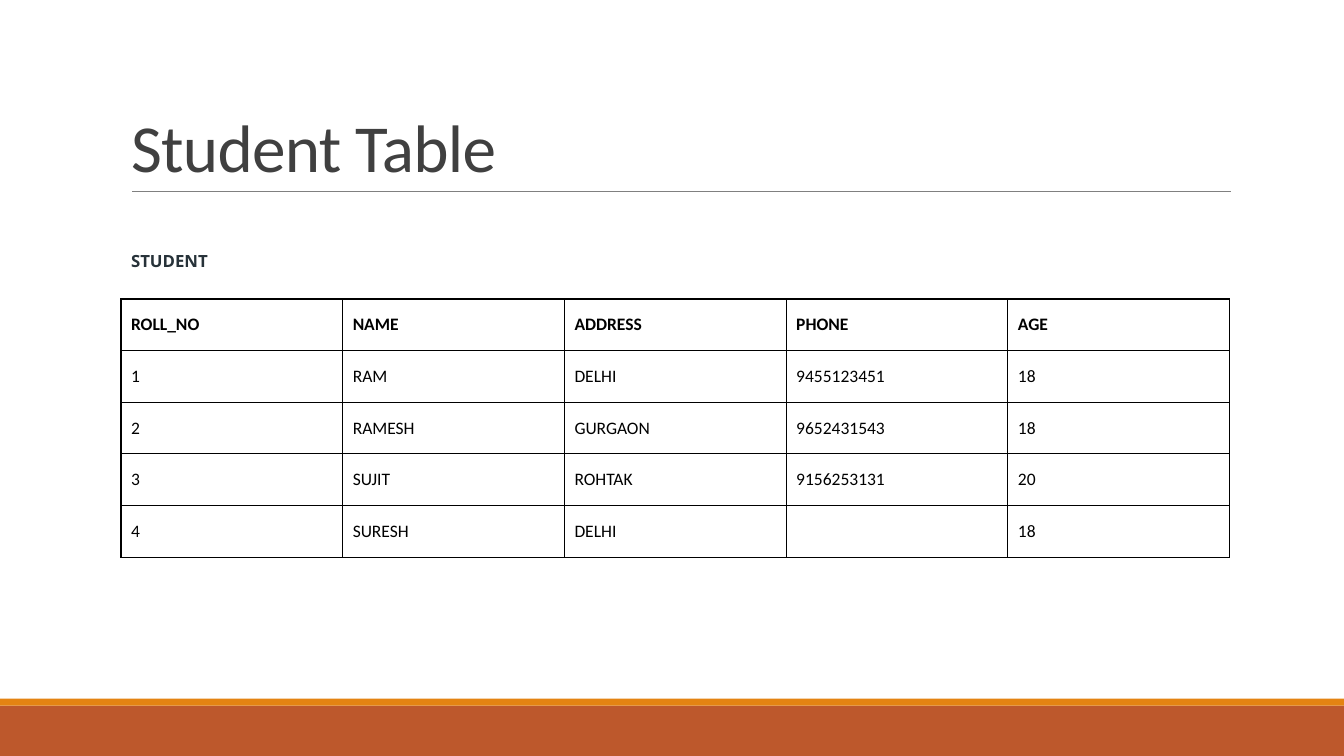
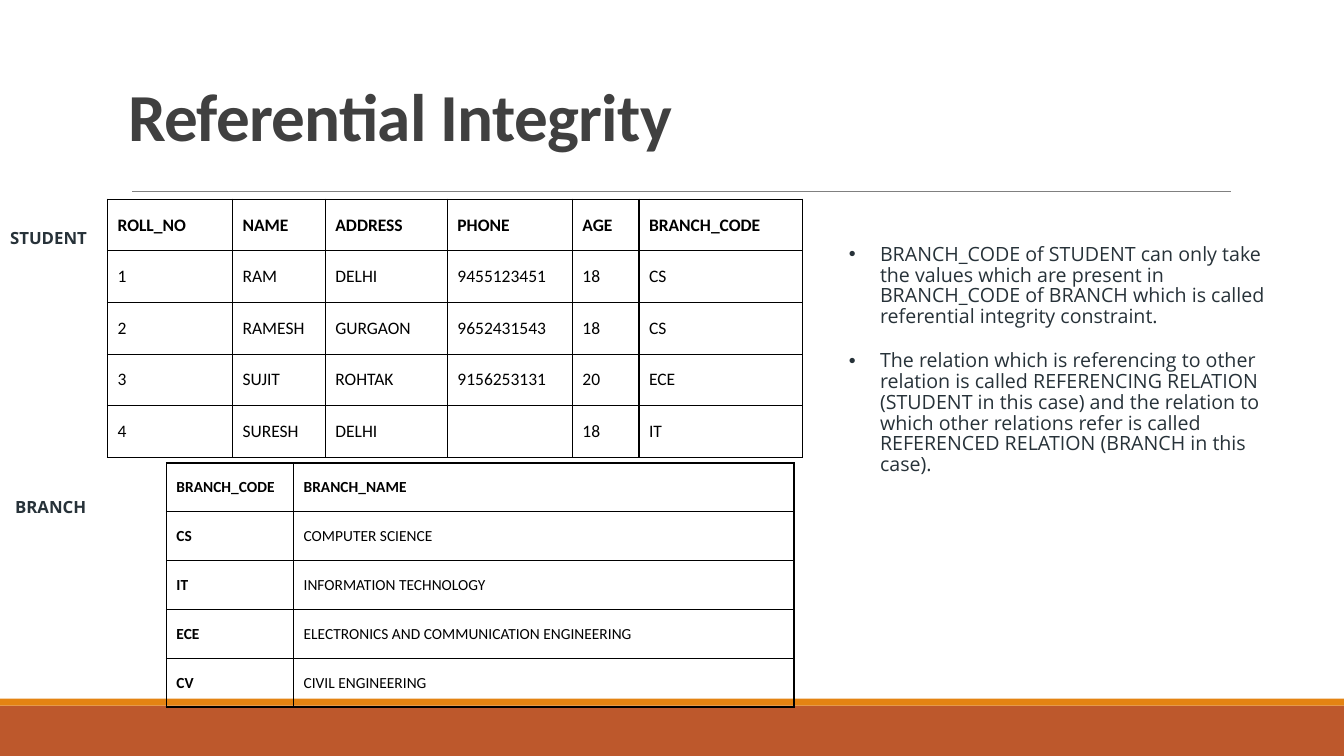
from dataclasses import dataclass
from typing import Any

import pptx
import pptx.dml.color
import pptx.enum.shapes
import pptx.enum.text
import pptx.oxml.ns
import pptx.util
from lxml import etree

RUST = pptx.dml.color.RGBColor(0xBD, 0x58, 0x2C)
ORANGE = pptx.dml.color.RGBColor(0xE4, 0x83, 0x12)
GRAY = pptx.dml.color.RGBColor(0x80, 0x80, 0x80)
CHARCOAL = pptx.dml.color.RGBColor(0x40, 0x40, 0x40)
SLATE = pptx.dml.color.RGBColor(0x27, 0x32, 0x39)
BLACK = pptx.dml.color.RGBColor(0, 0, 0)
WHITE = pptx.dml.color.RGBColor(0xFF, 0xFF, 0xFF)

HEADING_FONT = "Calibri"
TEXT_FONT = "Open Sans"
SLIDE_WIDTH = pptx.util.Inches(13.33)
SLIDE_HEIGHT = pptx.util.Inches(7.5)
BORDER_SIDES = ("a:lnL", "a:lnR", "a:lnT", "a:lnB")
FIRST_FOOTER_INDEX = 10


@dataclass(frozen=True)
class Area:
    """A region in percent of the slide's width and height."""

    left: float
    top: float
    width: float
    height: float

    def lengths(self) -> tuple[int, int, int, int]:
        """Return left, top, width and height as slide lengths."""
        return (int(SLIDE_WIDTH * self.left / 100), int(SLIDE_HEIGHT * self.top / 100),
                int(SLIDE_WIDTH * self.width / 100), int(SLIDE_HEIGHT * self.height / 100))


@dataclass(frozen=True)
class TextStyle:
    """The look of a run of text."""

    font: str
    size: float
    color: pptx.dml.color.RGBColor
    bold: bool = False


@dataclass(frozen=True)
class Label:
    """A relation name beside its table."""

    text: str
    area: Area


@dataclass(frozen=True)
class Grid:
    """A relation with its column shares and rows, header first."""

    area: Area
    columns: tuple[float, ...]
    rows: list[tuple[str, ...]]
    size: float
    bold_keys: bool = False


BANDS = ((Area(0, 93.33, 100, 6.67), RUST), (Area(0, 92.4, 100, 0.93), ORANGE))
TITLE_RULE = Area(9.83, 25.33, 81.75, 0)
LABEL_STYLE = TextStyle(TEXT_FONT, 12, SLATE, True)
BODY_STYLE = TextStyle(TEXT_FONT, 14, SLATE)

STUDENTS = [
    ("ROLL_NO", "NAME", "ADDRESS", "PHONE", "AGE"),
    ("1", "RAM", "DELHI", "9455123451", "18"),
    ("2", "RAMESH", "GURGAON", "9652431543", "18"),
    ("3", "SUJIT", "ROHTAK", "9156253131", "20"),
    ("4", "SURESH", "DELHI", "", "18"),
]
STUDENT_BRANCHES = ("BRANCH_CODE", "CS", "CS", "ECE", "IT")
BRANCHES = [
    ("BRANCH_CODE", "BRANCH_NAME"),
    ("CS", "COMPUTER SCIENCE"),
    ("IT", "INFORMATION TECHNOLOGY"),
    ("ECE", "ELECTRONICS AND COMMUNICATION ENGINEERING"),
    ("CV", "CIVIL ENGINEERING"),
]
INTEGRITY_POINTS = (
    "BRANCH_CODE of STUDENT can only take the values which are present in BRANCH_CODE "
    "of BRANCH which is called referential integrity constraint.",
    "The relation which is referencing to other relation is called REFERENCING RELATION "
    "(STUDENT in this case) and the relation to which other relations refer is called "
    "REFERENCED RELATION (BRANCH in this case).",
)


def place(box: Any, area: Area) -> None:
    """Move and size a shape to an area."""
    box.left, box.top, box.width, box.height = area.lengths()


def add_span(para: Any, text: str, style: TextStyle) -> None:
    """Append a styled run to a paragraph."""
    span = para.add_run()
    span.text = text
    span.font.name = style.font
    span.font.size = pptx.util.Pt(style.size)
    span.font.bold = style.bold
    span.font.color.rgb = style.color


def add_block(page: Any, area: Area, fill: pptx.dml.color.RGBColor) -> Any:
    """Draw a plain filled rectangle."""
    box = page.shapes.add_shape(pptx.enum.shapes.MSO_SHAPE.RECTANGLE, *area.lengths())
    box.shadow.inherit = False
    box.fill.solid()
    box.fill.fore_color.rgb = fill
    box.line.fill.background()
    return box


def furnish_layout(layout: Any, page: Any) -> None:
    """Give the layout its bands and title rule, drawn by way of a page."""
    for holder in list(layout.placeholders):
        if holder.placeholder_format.idx >= FIRST_FOOTER_INDEX:
            holder.element.getparent().remove(holder.element)
    parts = [add_block(page, area, fill) for area, fill in BANDS]
    left, top, width, _ = TITLE_RULE.lengths()
    rule = page.shapes.add_connector(
        pptx.enum.shapes.MSO_CONNECTOR.STRAIGHT, left, top, left + width, top)
    rule.line.color.rgb = GRAY
    rule.line.width = pptx.util.Pt(0.5)
    properties = rule.element.find(pptx.oxml.ns.qn("p:spPr"))
    etree.SubElement(properties, pptx.oxml.ns.qn("a:effectLst"))
    for part in [*parts, rule]:
        layout.shapes.element.append(part.element)


def set_title(page: Any, text: str, area: Area, bold: bool = False) -> None:
    """Fill and format the title placeholder."""
    box = page.shapes.title
    place(box, area)
    frame = box.text_frame
    frame.auto_size = pptx.enum.text.MSO_AUTO_SIZE.NONE
    frame.vertical_anchor = pptx.enum.text.MSO_ANCHOR.BOTTOM
    para = frame.paragraphs[0]
    para.alignment = pptx.enum.text.PP_ALIGN.LEFT
    para.line_spacing = 0.85
    add_span(para, text, TextStyle(HEADING_FONT, 48, CHARCOAL, bold))
    for properties in box.element.iter(pptx.oxml.ns.qn("a:rPr")):
        properties.set("spc", "-50")


def add_label(page: Any, label: Label) -> None:
    """Write a relation name on a white block."""
    frame = add_block(page, label.area, WHITE).text_frame
    frame.margin_left = frame.margin_right = frame.margin_top = frame.margin_bottom = 0
    frame.word_wrap = True
    frame.auto_size = pptx.enum.text.MSO_AUTO_SIZE.SHAPE_TO_FIT_TEXT
    frame.vertical_anchor = pptx.enum.text.MSO_ANCHOR.MIDDLE
    para = frame.paragraphs[0]
    para.alignment = pptx.enum.text.PP_ALIGN.LEFT
    add_span(para, label.text, LABEL_STYLE)


def add_borders(cell_element: Any) -> None:
    """Draw a one-point black line on each side of a cell."""
    properties = cell_element.find(pptx.oxml.ns.qn("a:tcPr"))
    for position, side in enumerate(BORDER_SIDES):
        line = etree.Element(pptx.oxml.ns.qn(side), w=str(pptx.util.Pt(1)))
        fill = etree.SubElement(line, pptx.oxml.ns.qn("a:solidFill"))
        etree.SubElement(fill, pptx.oxml.ns.qn("a:srgbClr"), val=str(BLACK))
        properties.insert(position, line)


def add_grid(page: Any, grid: Grid) -> None:
    """Draw a relation as an unfilled, bordered table."""
    box = page.shapes.add_table(len(grid.rows), len(grid.columns), *grid.area.lengths())
    table = box.table
    table.first_row = table.horz_banding = False
    _, _, width, height = grid.area.lengths()
    for column, share in zip(table.columns, grid.columns):
        column.width = int(width * share / sum(grid.columns))
    for row_number, values in enumerate(grid.rows):
        table.rows[row_number].height = height // len(grid.rows)
        for column_number, value in enumerate(values):
            cell = table.cell(row_number, column_number)
            cell.fill.background()
            cell.margin_left = cell.margin_right = pptx.util.Inches(0.1)
            cell.margin_top = cell.margin_bottom = pptx.util.Inches(0.15)
            cell.vertical_anchor = pptx.enum.text.MSO_ANCHOR.MIDDLE
            if value:
                bold = row_number == 0 or (grid.bold_keys and column_number == 0)
                add_span(cell.text_frame.paragraphs[0], value,
                         TextStyle(HEADING_FONT, grid.size, BLACK, bold))
    for cell_element in box.element.iter(pptx.oxml.ns.qn("a:tc")):
        add_borders(cell_element)
        for para in cell_element.iter(pptx.oxml.ns.qn("a:p")):
            if para.find(pptx.oxml.ns.qn("a:r")) is None:
                etree.SubElement(para, pptx.oxml.ns.qn("a:endParaRPr"),
                                 sz=str(int(grid.size * 100)))


def set_points(page: Any, points: tuple[str, ...], area: Area) -> None:
    """Fill the body placeholder with a bulleted list."""
    box = page.placeholders[1]
    place(box, area)
    frame = box.text_frame
    frame.auto_size = pptx.enum.text.MSO_AUTO_SIZE.NONE
    for number, point in enumerate(points):
        para = frame.add_paragraph() if number else frame.paragraphs[0]
        para.line_spacing = 0.88
        para.space_before = pptx.util.Pt(16.8 if number else 0)
        add_span(para, point, BODY_STYLE)
    indent = pptx.util.Inches(0.31)
    for properties in box.element.iter(pptx.oxml.ns.qn("a:pPr")):
        properties.set("marL", str(indent))
        properties.set("indent", str(-indent))


def build_student_page(page: Any) -> None:
    """Build the slide with the student relation."""
    set_title(page, "Student Table", Area(9, 4.13, 82.5, 21.2))
    add_grid(page, Grid(Area(9, 39.55, 82.5, 33.6), (1,) * 5, STUDENTS, 12.5))
    add_label(page, Label("STUDENT\u00a0", Area(9.75, 33.2, 20.1, 2.67)))
    body = page.placeholders[1].element
    body.getparent().remove(body)


def build_integrity_page(page: Any) -> None:
    """Build the slide on references between two relations."""
    set_title(page, "Referential Integrity", Area(8.78, 0, 82.5, 21.2), bold=True)
    students = [(*row, branch) for row, branch in zip(STUDENTS, STUDENT_BRANCHES)]
    add_grid(page, Grid(Area(8, 26.35, 51.7, 33.6),
                        (1.24, 0.92, 1.21, 1.24, 0.66, 1.62), students, 12.5))
    add_label(page, Label("STUDENT\u00a0", Area(0.75, 30.13, 6.75, 2.67)))
    add_grid(page, Grid(Area(12.38, 61.25, 46.7, 31.75), (1.26, 4.96),
                        BRANCHES, 11, bold_keys=True))
    add_label(page, Label("BRANCH\u00a0", Area(1.13, 65.73, 6.38, 2.67)))
    set_points(page, INTEGRITY_POINTS, Area(62.4, 31.73, 33.53, 35.87))


def main() -> None:
    """Build and save the deck."""
    deck = pptx.Presentation()
    deck.slide_width, deck.slide_height = SLIDE_WIDTH, SLIDE_HEIGHT
    layout = deck.slide_layouts[1]
    student_page = deck.slides.add_slide(layout)
    furnish_layout(layout, student_page)
    build_student_page(student_page)
    build_integrity_page(deck.slides.add_slide(layout))
    deck.save("out.pptx")


main()
